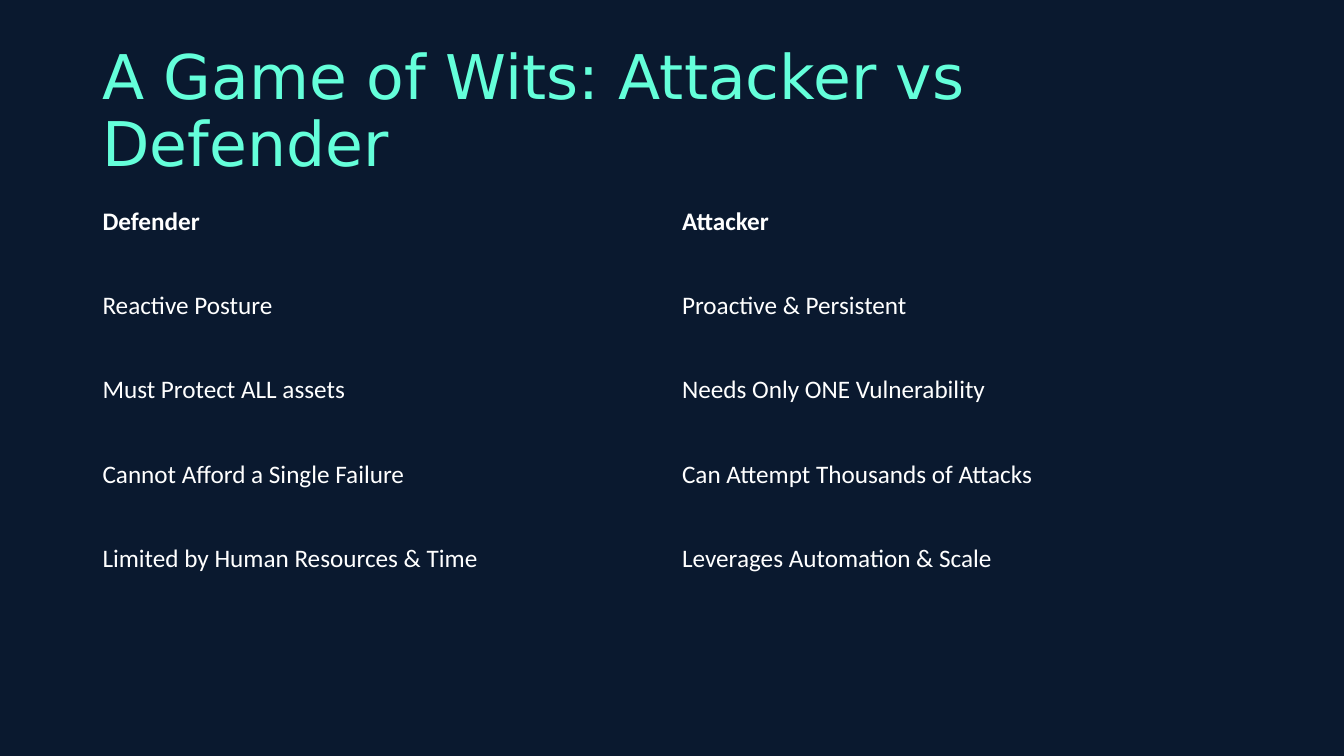
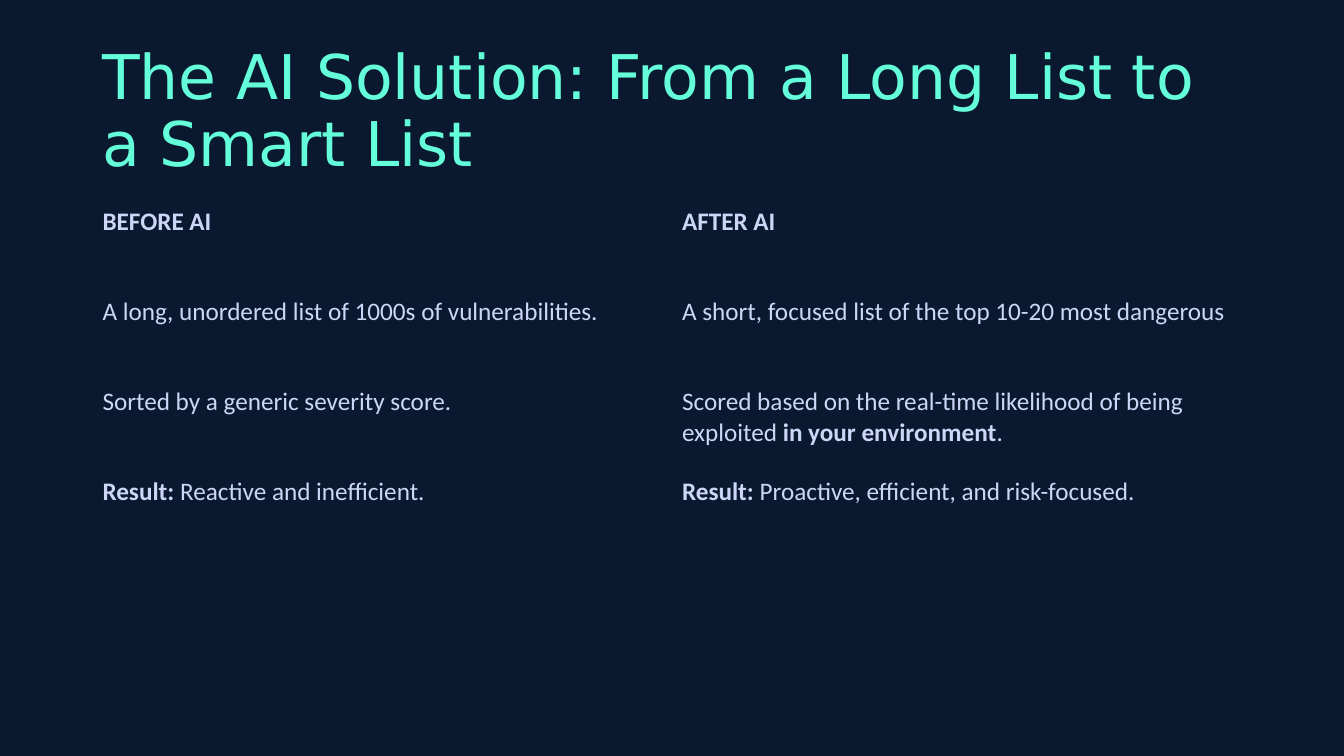
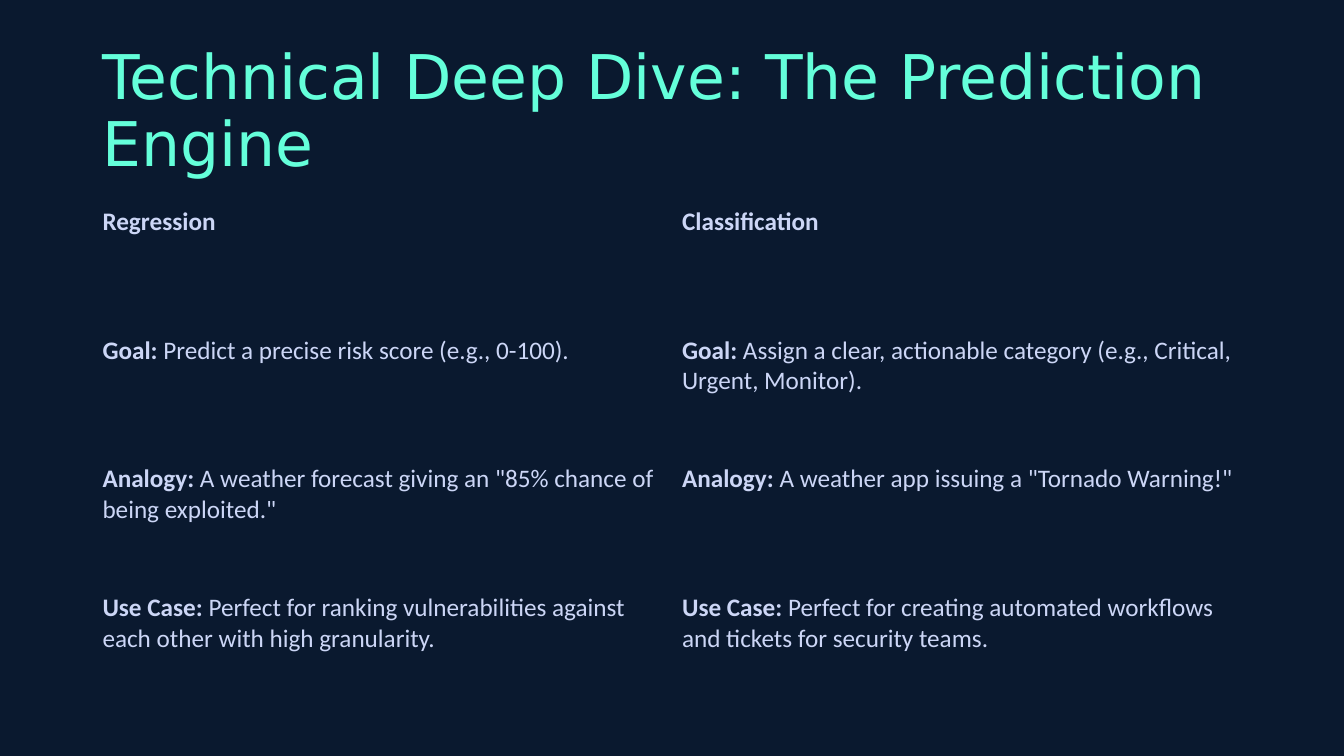
from lxml.etree import QName
from pptx import Presentation
from pptx.dml.color import RGBColor
from pptx.enum.text import MSO_ANCHOR
from pptx.util import Cm, Pt

NAVY = RGBColor(0x0A, 0x19, 0x2F)
MINT = RGBColor(0x64, 0xFF, 0xDA)
WHITE = RGBColor(0xFF, 0xFF, 0xFF)
LAVENDER = RGBColor(0xCC, 0xD6, 0xF6)

TITLE_FONT, BODY_FONT = "DejaVu Sans", "Calibri"
NO_GRID_STYLE = "{2D5ABB26-0587-4C30-8999-92F81FD0307C}"

LEFT, WIDTH = Cm(2.33), Cm(29.21)
TITLE_TOP, TITLE_HEIGHT = Cm(1.01), Cm(3.68)
TABLE_TOP = Cm(5.08)

# Text between ** marks is bold.
COMPARISONS = [
    {
        "title": "A Game of Wits: Attacker vs Defender",
        "color": WHITE,
        "row_height": Cm(2.12),
        "rows": [
            ("**Defender**", "**Attacker**"),
            ("Reactive Posture", "Proactive & Persistent"),
            ("Must Protect ALL assets", "Needs Only ONE Vulnerability"),
            ("Cannot Afford a Single Failure", "Can Attempt Thousands of Attacks"),
            ("Limited by Human Resources & Time", "Leverages Automation & Scale"),
        ],
    },
    {
        "title": "The AI Solution: From a Long List to a Smart List",
        "color": LAVENDER,
        "row_height": Cm(2.27),
        "rows": [
            ("**BEFORE AI**", "**AFTER AI**"),
            ("A long, unordered list of 1000s of vulnerabilities.",
             "A short, focused list of the top 10-20 most dangerous"),
            ("Sorted by a generic severity score.",
             "Scored based on the real-time likelihood of being exploited "
             "**in your environment**."),
            ("**Result:** Reactive and inefficient.",
             "**Result:** Proactive, efficient, and risk-focused."),
            ("", ""),
        ],
    },
    {
        "title": "Technical Deep Dive: The Prediction Engine",
        "color": LAVENDER,
        "row_height": Cm(3.24),
        "rows": [
            ("**Regression**", "**Classification**"),
            ("**Goal:** Predict a precise risk score (e.g., 0-100).",
             "**Goal:** Assign a clear, actionable category "
             "(e.g., Critical, Urgent, Monitor)."),
            ('**Analogy:** A weather forecast giving an "85% chance of being exploited."',
             '**Analogy:** A weather app issuing a "Tornado Warning!"'),
            ("**Use Case:** Perfect for ranking vulnerabilities against each other "
             "with high granularity.",
             "**Use Case:** Perfect for creating automated workflows and tickets "
             "for security teams."),
        ],
    },
]


def add_run(paragraph, text, font, size, color, bold=False):
    run = paragraph.add_run()
    run.text = text
    run.font.name = font
    run.font.size = Pt(size)
    run.font.color.rgb = color
    run.font.bold = bold


def add_title(slide, title):
    frame = slide.shapes.add_textbox(LEFT, TITLE_TOP, WIDTH, TITLE_HEIGHT).text_frame
    frame.word_wrap = True
    frame.vertical_anchor = MSO_ANCHOR.MIDDLE
    paragraph = frame.paragraphs[0]
    paragraph.line_spacing = 0.9
    add_run(paragraph, title, TITLE_FONT, 44, MINT)


def clear_style(table):
    table.first_row = False
    table.horz_banding = False
    for element in table._tbl.tblPr:
        if QName(element).localname == "tableStyleId":
            element.text = NO_GRID_STYLE


def add_comparison(slide, rows, row_height, color):
    table = slide.shapes.add_table(
        len(rows), len(rows[0]), LEFT, TABLE_TOP, WIDTH, row_height * len(rows)
    ).table
    clear_style(table)
    for row_index, row in enumerate(rows):
        table.rows[row_index].height = row_height
        for column_index, text in enumerate(row):
            cell = table.cell(row_index, column_index)
            cell.fill.background()
            for part_index, part in enumerate(text.split("**")):
                if part:
                    add_run(cell.text_frame.paragraphs[0], part, BODY_FONT, 18,
                            color, bold=part_index % 2 == 1)


def main():
    deck = Presentation()
    deck.slide_width, deck.slide_height = Cm(33.87), Cm(19.05)
    background = deck.slide_master.background.fill
    background.solid()
    background.fore_color.rgb = NAVY
    for comparison in COMPARISONS:
        slide = deck.slides.add_slide(deck.slide_layouts[6])
        add_title(slide, comparison["title"])
        add_comparison(slide, comparison["rows"], comparison["row_height"],
                       comparison["color"])
    deck.save("out.pptx")


if __name__ == "__main__":
    main()
